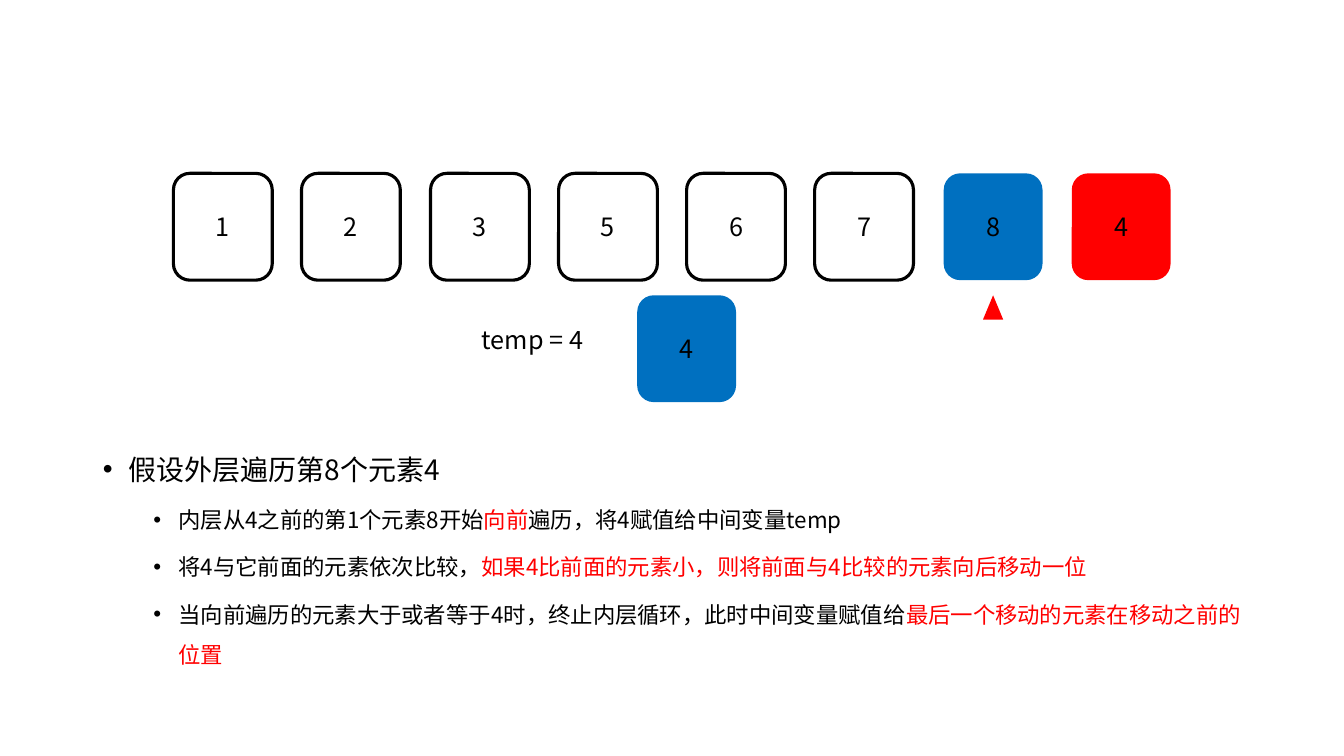
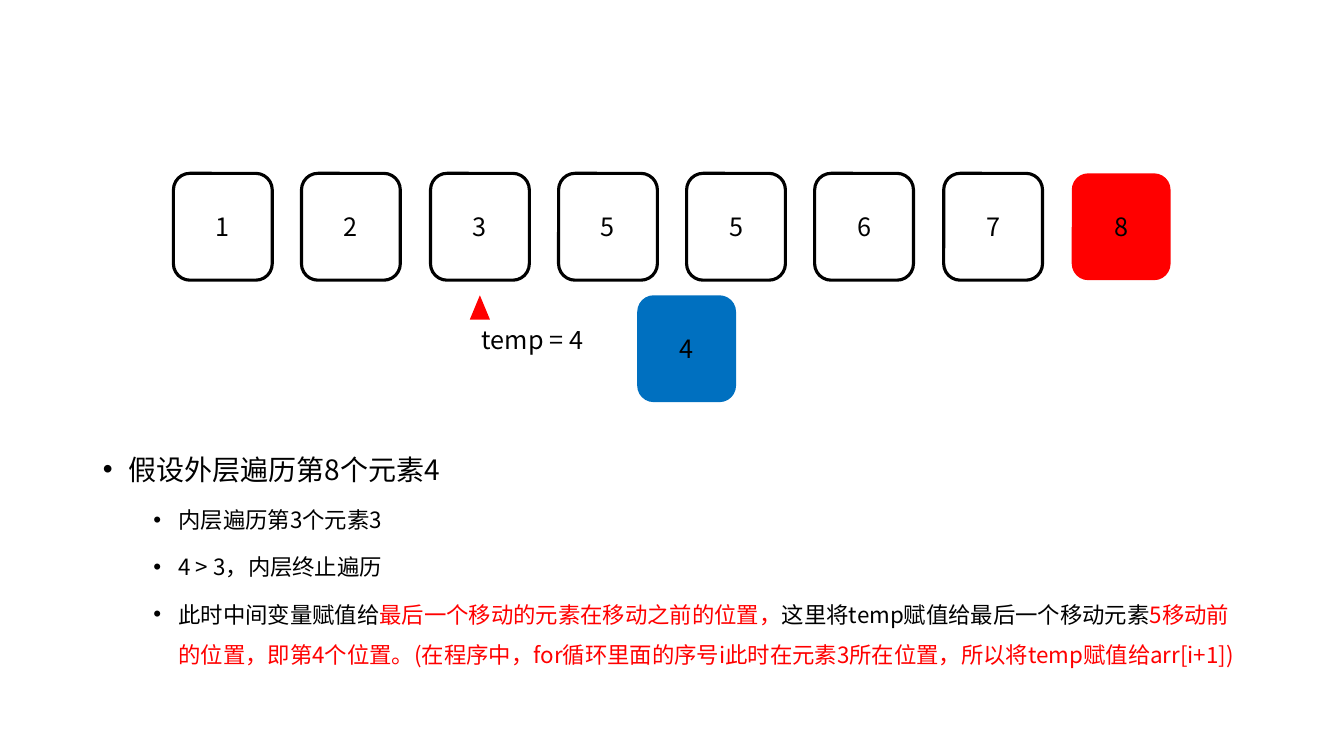
from dataclasses import dataclass
from typing import NamedTuple

from lxml import etree
from pptx import Presentation
from pptx.dml.color import RGBColor
from pptx.enum.shapes import MSO_SHAPE
from pptx.enum.text import MSO_ANCHOR, MSO_AUTO_SIZE, PP_ALIGN
from pptx.oxml.ns import qn
from pptx.util import Emu, Pt

ROUNDED, TRIANGLE = MSO_SHAPE.ROUNDED_RECTANGLE, MSO_SHAPE.ISOSCELES_TRIANGLE
MIDDLE, TOP = MSO_ANCHOR.MIDDLE, MSO_ANCHOR.TOP
CENTER, LEFT = PP_ALIGN.CENTER, PP_ALIGN.LEFT
NO_FIT, GROW = MSO_AUTO_SIZE.NONE, MSO_AUTO_SIZE.SHAPE_TO_FIT_TEXT

COLORS = {"black": "000000", "white": "FFFFFF", "blue": "0070C0", "red": "FF0000"}
FONT = "Noto Sans CJK SC"
EMU_PER_PX = 9144  # 100 px to the inch

# Geometry of the array row
CELL_WIDTH, CELL_HEIGHT = 98, 106
ROW_TOP, FIRST_LEFT, LAST_LEFT = 172, 172, 1063
BELOW_TOP = 293
POINTER_WIDTH, POINTER_HEIGHT = 20, 24


class Run(NamedTuple):
    text: str
    color: str = "black"


@dataclass
class Step:
    values: list[int]
    pointer: int
    bullets: list[list[Run]]
    highlights: dict[int, str]


HEADING = [Run("假设外层遍历第8个元素4")]
STEPS = [
    Step(
        values=[1, 2, 3, 5, 6, 7, 8, 4],
        pointer=6,
        highlights={6: "blue", 7: "red"},
        bullets=[
            [Run("内层从4之前的第1个元素8开始"), Run("向前", "red"),
             Run("遍历，将4赋值给中间变量temp")],
            [Run("将4与它前面的元素依次比较，"),
             Run("如果4比前面的元素小，则将前面与4比较的元素向后移动一位", "red")],
            [Run("当向前遍历的元素大于或者等于4时，终止内层循环，此时中间变量赋值给"),
             Run("最后一个移动的元素在移动之前的位置", "red")],
        ],
    ),
    Step(
        values=[1, 2, 3, 5, 5, 6, 7, 8],
        pointer=2,
        highlights={7: "red"},
        bullets=[
            [Run("内层遍历第3个元素3")],
            [Run("4 > 3，内层终止遍历")],
            [Run("此时中间变量赋值给"),
             Run("最后一个移动的元素在移动之前的位置，", "red"),
             Run("这里将temp赋值给最后一个移动元素"),
             Run("5移动前的位置，即第4个位置。(在程序中，for循环里面的序号i"
                 "此时在元素3所在位置，所以将temp赋值给arr[i+1])", "red")],
        ],
    ),
]


def px(length: int) -> Emu:
    return Emu(length * EMU_PER_PX)


def rgb(name: str) -> RGBColor:
    return RGBColor.from_string(COLORS[name])


def write_text(paragraph, text: str, *, size: int = 18, color: str = "black",
               align=LEFT) -> None:
    paragraph.alignment = align
    run = paragraph.add_run()
    run.text = text
    run.font.name = FONT
    run.font.size = Pt(size)
    run.font.color.rgb = rgb(color)
    etree.SubElement(run._r.get_or_add_rPr(), qn("a:ea"), typeface=FONT)


def add_figure(slide, kind, left: int, top: int, width: int, height: int,
               fill: str | None = None):
    """Draw a filled shape, or a black outline when no fill is given."""
    shape = slide.shapes.add_shape(kind, px(left), px(top), px(width), px(height))
    shape.shadow.inherit = False
    if fill:
        shape.fill.solid()
        shape.fill.fore_color.rgb = rgb(fill)
        shape.line.fill.background()
    else:
        shape.fill.background()
        shape.line.color.rgb = rgb("black")
        shape.line.width = Pt(2.25)
    return shape


def add_cell(slide, value: int, left: int, top: int, fill: str | None = None) -> None:
    shape = add_figure(slide, ROUNDED, left, top, CELL_WIDTH, CELL_HEIGHT, fill)
    shape.text_frame.vertical_anchor = MIDDLE
    write_text(shape.text_frame.paragraphs[0], str(value), align=CENTER)


def format_bullet(paragraph, level: int) -> None:
    paragraph.level = level
    properties = paragraph._p.get_or_add_pPr()
    properties.set("marL", str(px(25 + 50 * level)))
    properties.set("indent", str(-px(25)))
    etree.SubElement(properties, qn("a:buFont"), typeface="Arial")
    etree.SubElement(properties, qn("a:buChar"), char="•")
    paragraph.line_spacing = 1.5
    paragraph.space_before = Pt(5 * level)
    paragraph.space_after = Pt(0)


def fill_body(body, bullets: list[list[Run]]) -> None:
    body.left, body.top, body.width, body.height = px(92), px(427), px(1150), px(279)
    frame = body.text_frame
    frame.word_wrap = True
    frame.auto_size = NO_FIT
    frame.vertical_anchor = TOP
    for index, runs in enumerate([HEADING, *bullets]):
        paragraph = frame.add_paragraph() if index else frame.paragraphs[0]
        level = min(index, 1)
        format_bullet(paragraph, level)
        for run in runs:
            write_text(paragraph, run.text, size=20 - 4 * level, color=run.color)


def add_temp(slide) -> None:
    label = slide.shapes.add_textbox(px(468), px(317), px(275), px(40))
    label.text_frame.word_wrap = True
    label.text_frame.auto_size = GROW
    write_text(label.text_frame.paragraphs[0], "temp = 4")
    add_cell(slide, 4, 632, BELOW_TOP, "blue")


def build_slide(presentation, step: Step) -> None:
    slide = presentation.slides.add_slide(presentation.slide_layouts[1])
    title, body = slide.placeholders
    title.element.getparent().remove(title.element)
    fill_body(body, step.bullets)

    # Array cells, evenly spaced
    pitch = (LAST_LEFT - FIRST_LEFT) / (len(step.values) - 1)
    lefts = [round(FIRST_LEFT + pitch * index) for index in range(len(step.values))]
    for index, (value, left) in enumerate(zip(step.values, lefts)):
        add_cell(slide, value, left, ROW_TOP, step.highlights.get(index))

    # Pointer under the current element, and the temp variable
    pointer_left = lefts[step.pointer] + (CELL_WIDTH - POINTER_WIDTH) // 2
    add_figure(slide, TRIANGLE, pointer_left, BELOW_TOP,
               POINTER_WIDTH, POINTER_HEIGHT, "red")
    add_temp(slide)


def main() -> None:
    presentation = Presentation()
    presentation.slide_width, presentation.slide_height = px(1333), px(750)
    background = presentation.slide_master.background.fill
    background.solid()
    background.fore_color.rgb = rgb("white")
    for step in STEPS:
        build_slide(presentation, step)
    presentation.save("out.pptx")


if __name__ == "__main__":
    main()
